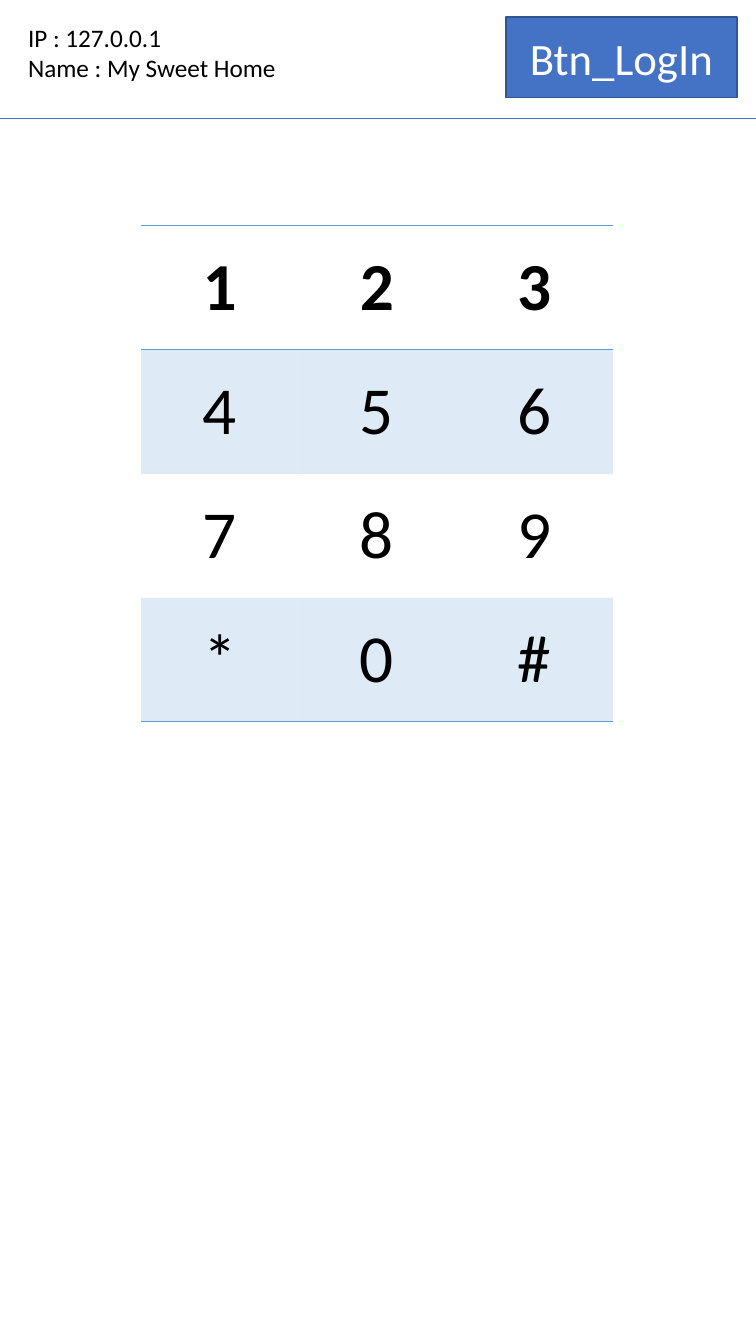
from lxml import etree
from pptx import Presentation
from pptx.dml import color as dml
from pptx.enum import shapes, text
from pptx.oxml import ns
from pptx.util import Inches, Pt

FONT = "Calibri"
BLUE, DARK_BLUE, LIGHT_BLUE = "4472C4", "325491", "5B9BD5"
BLACK, WHITE = "000000", "FFFFFF"
PLAIN_STYLE = "{2D5ABB26-0587-4C30-8999-92F81FD0307C}"
KEYS = ["123", "456", "789", "*0#"]


def paint(target, color):
    """Set a font or line colour, or a solid fill, from a hex string."""
    if hasattr(target, "solid"):
        target.solid()
        target = target.fore_color
    else:
        target = target.color
    target.rgb = dml.RGBColor.from_string(color)


def add_run(p, content, size, color, bold=False):
    """Add one formatted run to a paragraph."""
    r = p.add_run()
    r.text = content
    r.font.name, r.font.size, r.font.bold = FONT, Pt(size), bold
    paint(r.font, color)


def add_rule(s, y, width):
    """Draw a thin horizontal line from the left edge."""
    line = s.shapes.add_connector(shapes.MSO_CONNECTOR.STRAIGHT,
                                  0, Inches(y), Inches(width), Inches(y))
    paint(line.line, BLUE)
    line.line.width = Pt(0.5)
    etree.SubElement(line._element.spPr, ns.qn("a:effectLst"))


def add_button(s, label, left, top, width, height):
    """Add a filled button with a centred label."""
    sp = s.shapes.add_shape(shapes.MSO_SHAPE.RECTANGLE, Inches(left),
                            Inches(top), Inches(width), Inches(height))
    sp.shadow.inherit = False
    paint(sp.fill, BLUE)
    paint(sp.line, DARK_BLUE)
    sp.line.width = Pt(1)
    tf = sp.text_frame
    tf.vertical_anchor = text.MSO_ANCHOR.MIDDLE
    p = tf.paragraphs[0]
    p.alignment = text.PP_ALIGN.CENTER
    add_run(p, label, 32, WHITE)


def add_info(s, lines, left, top, width, height):
    """Add a text box whose lines share one paragraph."""
    sp = s.shapes.add_textbox(Inches(left), Inches(top),
                              Inches(width), Inches(height))
    tf = sp.text_frame
    tf.word_wrap = False
    tf.auto_size = text.MSO_AUTO_SIZE.SHAPE_TO_FIT_TEXT
    p = tf.paragraphs[0]
    for i, line in enumerate(lines):
        if i:
            p.add_line_break()
        add_run(p, line, 18, BLACK)


def add_border(cell, side):
    """Give one side ("T" or "B") of a cell a thin border."""
    ln = etree.SubElement(cell._tc.get_or_add_tcPr(), ns.qn(f"a:ln{side}"),
                          w=str(Pt(1)))
    fill = etree.SubElement(ln, ns.qn("a:solidFill"))
    etree.SubElement(fill, ns.qn("a:srgbClr"), val=LIGHT_BLUE)


def tint(cell):
    """Fill a cell with translucent blue."""
    paint(cell.fill, LIGHT_BLUE)
    rgb = cell._tc.tcPr.find(".//" + ns.qn("a:solidFill") + "[last()]")
    rgb = cell._tc.tcPr.find(ns.qn("a:solidFill"))[0]
    etree.SubElement(rgb, ns.qn("a:alpha"), val="20000")


def add_keypad(s, keys, left, top, col_width, row_height):
    """Add the keypad table: bold first row, every second row tinted."""
    rows, cols = len(keys), len(keys[0])
    frame = s.shapes.add_table(rows, cols, Inches(left), Inches(top),
                               Inches(col_width * cols),
                               Inches(row_height * rows))
    table = frame.table
    table.horz_banding = False
    frame._element.find(".//" + ns.qn("a:tableStyleId")).text = PLAIN_STYLE
    for column in table.columns:
        column.width = Inches(col_width)
    for i, row in enumerate(table.rows):
        row.height = Inches(row_height)
        for cell, key in zip(row.cells, keys[i]):
            cell.vertical_anchor = text.MSO_ANCHOR.MIDDLE
            p = cell.text_frame.paragraphs[0]
            p.alignment = text.PP_ALIGN.CENTER
            add_run(p, key, 48, BLACK, bold=i == 0)
            if i == 0:
                add_border(cell, "T")
            if i in (0, rows - 1):
                add_border(cell, "B")
            if i % 2:
                tint(cell)
            else:
                cell.fill.background()


def main():
    """Build the login screen and save it."""
    prs = Presentation()
    prs.slide_width, prs.slide_height = Inches(7.5), Inches(13.33)
    s = prs.slides.add_slide(prs.slide_layouts[6])
    add_rule(s, 1.17, 7.5)
    add_button(s, "Btn_LogIn", 5.02, 0.17, 2.29, 0.8)
    add_info(s, ["IP : 127.0.0.1", "Name : My Sweet Home"],
             0.18, 0.17, 2.69, 0.71)
    add_keypad(s, KEYS, 1.4, 2.24, 1.56, 1.23)
    prs.save("out.pptx")


main()
